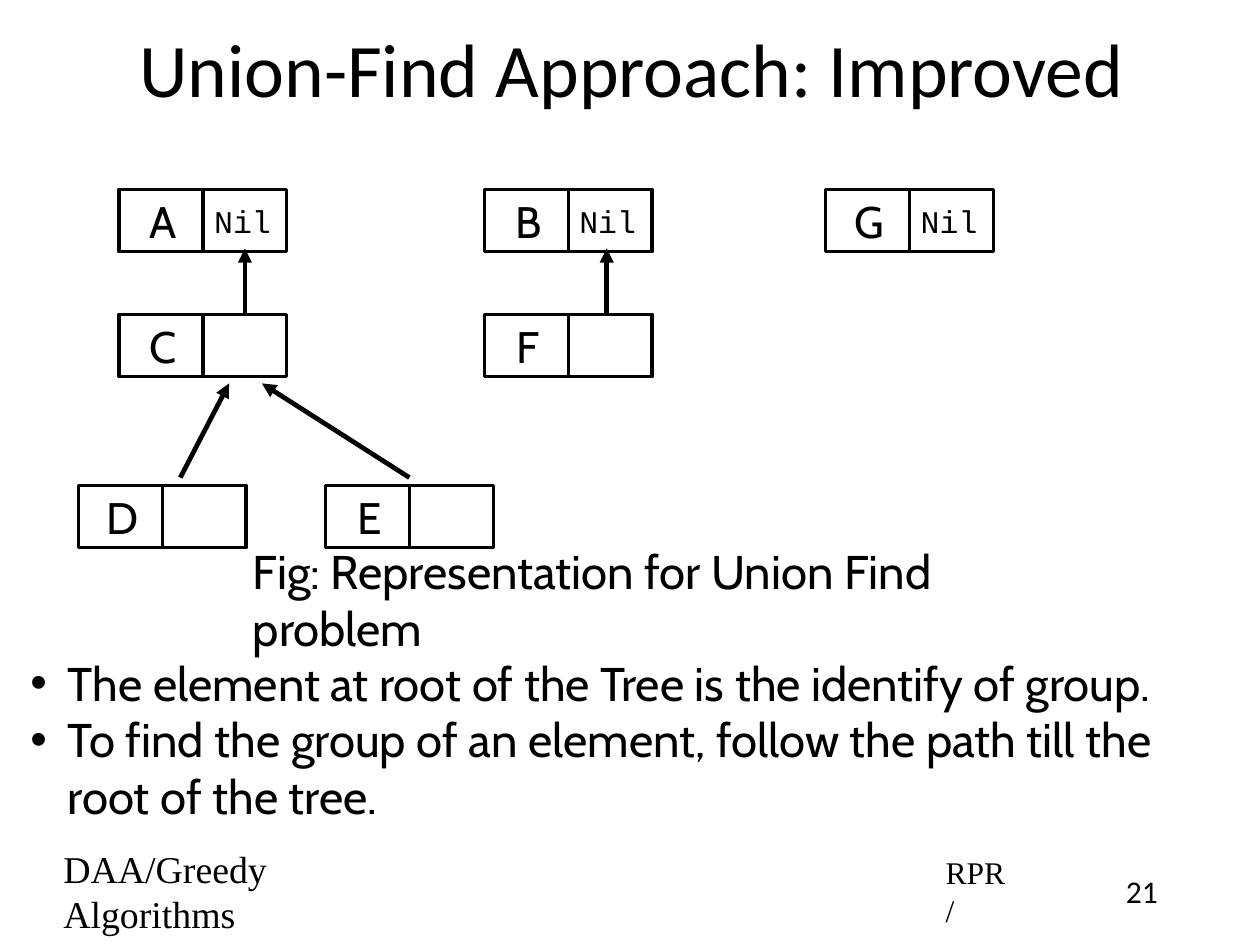
from dataclasses import dataclass
from pptx import Presentation, util as u
from pptx.dml.color import RGBColor
from pptx.enum import shapes, text
from pptx.oxml import ns, xmlchemy as xc

INK = "000000"
CELL_W, CELL_H = 0.74, 0.55
TOP, MID, LOW = 1.67, 2.77, 4.28


@dataclass
class Node:
    name: str
    left: float
    top: float
    link: str = ""


@dataclass
class Arrow:
    x1: float
    y1: float
    x2: float
    y2: float


@dataclass
class Label:
    words: str
    box: tuple[float, float, float, float]
    size: int
    font: str
    align: str = "LEFT"
    bullet: bool = False


NODES = [
    Node("A", 1.05, TOP, "Nil"),
    Node("B", 4.27, TOP, "Nil"),
    Node("G", 7.28, TOP, "Nil"),
    Node("C", 1.05, MID),
    Node("F", 4.27, MID),
    Node("D", 0.69, LOW),
    Node("E", 2.87, LOW),
]
ARROWS = [
    Arrow(2.16, 2.76, 2.16, 2.19),
    Arrow(5.35, 2.76, 5.35, 2.19),
    Arrow(1.59, 4.21, 2.02, 3.38),
    Arrow(3.61, 4.21, 2.31, 3.38),
]
LABELS = [
    Label("Union-Find Approach: Improved", (0.83, 0.07, 9.44, 1.04), 48, "Calibri", "CENTER"),
    Label("21", (9.72, 7.64, 0.66, 0.42), 20, "Calibri", "CENTER"),
    Label("DAA/Greedy Algorithms", (0.46, 7.62, 3.3, 0.47), 24, "Times New Roman"),
    Label("RPR/", (8.24, 7.64, 0.7, 0.42), 20, "Times New Roman"),
    Label("Fig: Representation for Union Find problem", (2.13, 4.98, 7.48, 0.6), 30, "Cabin"),
    Label(
        "The element at root of the Tree is the identify of group.\n"
        "To find the group of an element, follow the path till the root of the tree.",
        (0.12, 5.73, 10.14, 1.57), 30, "Cabin", bullet=True,
    ),
]


def color(code: str) -> RGBColor:
    return RGBColor.from_string(code)


def add_xml(host, tag: str, **attrs: str) -> None:
    item = xc.OxmlElement(tag)
    for key, value in attrs.items():
        item.set(key, value)
    host.append(item)


def write(shape, words: str, *, size: int, font: str,
          align: str = "LEFT", bullet: bool = False) -> None:
    frame = shape.text_frame
    frame.word_wrap = True
    frame.vertical_anchor = text.MSO_ANCHOR.MIDDLE
    frame.margin_left = u.Inches(0.1)
    frame.margin_right = frame.margin_top = frame.margin_bottom = u.Inches(0.06)
    frame.text = words
    for para in frame.paragraphs:
        para.alignment = getattr(text.PP_ALIGN, align)
        if bullet:
            props = para._p.get_or_add_pPr()
            props.set("marL", str(u.Inches(0.38)))
            props.set("indent", str(u.Inches(-0.33)))
            add_xml(props, "a:buFont", typeface="Arial")
            add_xml(props, "a:buChar", char="•")
        for run in para.runs:
            run.font.size = u.Pt(size)
            run.font.name = font
            run.font.color.rgb = color(INK)


def draw_cell(slide, left: float, top: float):
    cell = slide.shapes.add_shape(
        shapes.MSO_SHAPE.RECTANGLE, *map(u.Inches, (left, top, CELL_W, CELL_H)))
    cell.shadow.inherit = False
    cell.fill.background()
    cell.line.color.rgb = color(INK)
    cell.line.width = u.Pt(2)
    return cell


def draw_node(slide, node: Node) -> None:
    link = draw_cell(slide, node.left + CELL_W, node.top)
    if node.link:
        write(link, node.link, size=20, font="Courier New")
    name = draw_cell(slide, node.left, node.top)
    write(name, node.name, size=28, font="Cabin", align="CENTER")


def draw_arrow(slide, arrow: Arrow) -> None:
    line = slide.shapes.add_connector(
        shapes.MSO_CONNECTOR.STRAIGHT,
        *map(u.Inches, (arrow.x1, arrow.y1, arrow.x2, arrow.y2)))
    line.line.color.rgb = color(INK)
    line.line.width = u.Pt(3)
    props = line._element.spPr
    add_xml(props.find(ns.qn("a:ln")), "a:tailEnd", type="triangle")
    add_xml(props, "a:effectLst")


def draw_label(slide, label: Label) -> None:
    box = slide.shapes.add_textbox(*map(u.Inches, label.box))
    write(box, label.words, size=label.size, font=label.font,
          align=label.align, bullet=label.bullet)


def main() -> None:
    deck = Presentation()
    deck.slide_width, deck.slide_height = u.Inches(11.11), u.Inches(8.33)
    slide = deck.slides.add_slide(deck.slide_layouts[6])
    for node in NODES:
        draw_node(slide, node)
    for arrow in ARROWS:
        draw_arrow(slide, arrow)
    for label in LABELS:
        draw_label(slide, label)
    deck.save("out.pptx")


if __name__ == "__main__":
    main()
